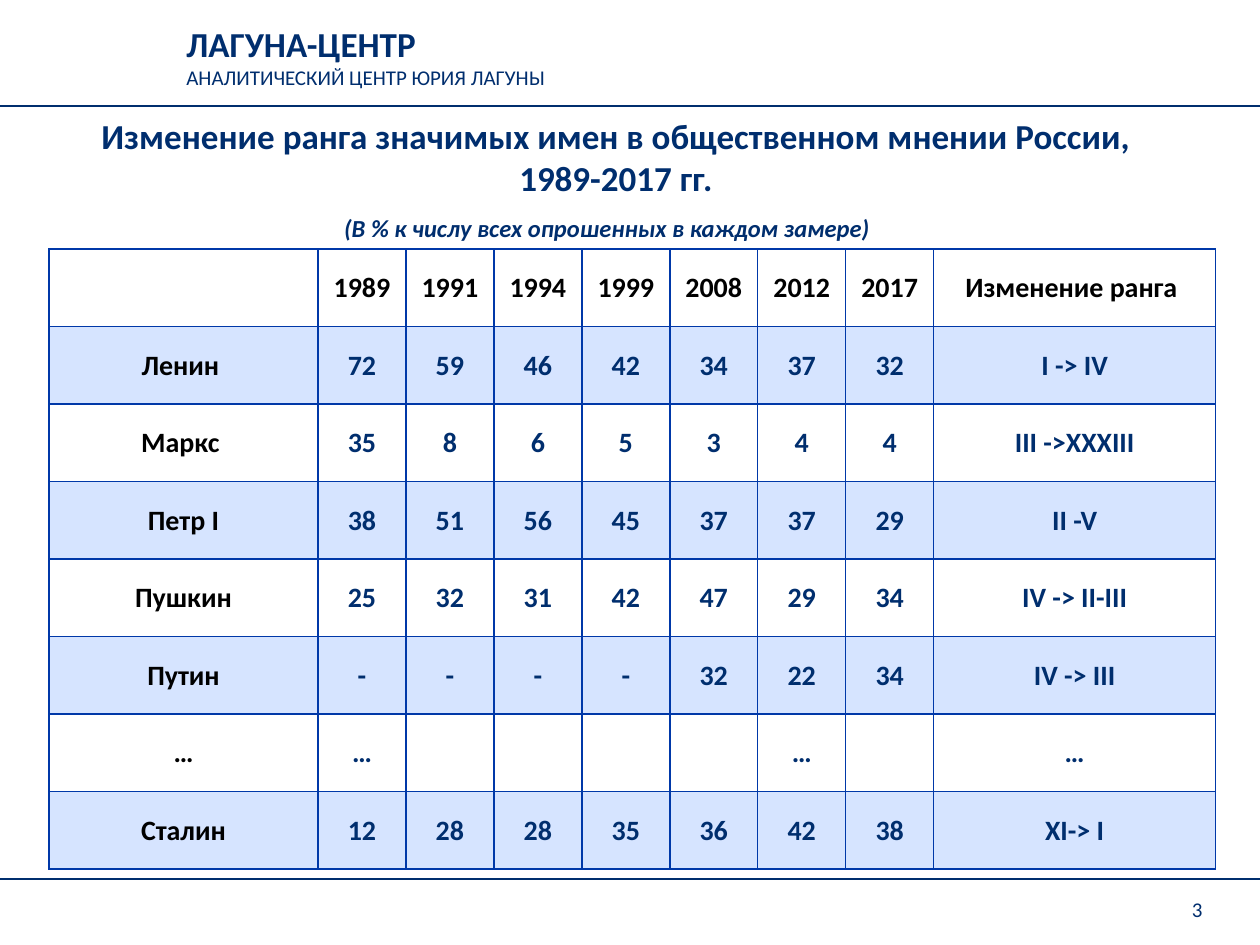
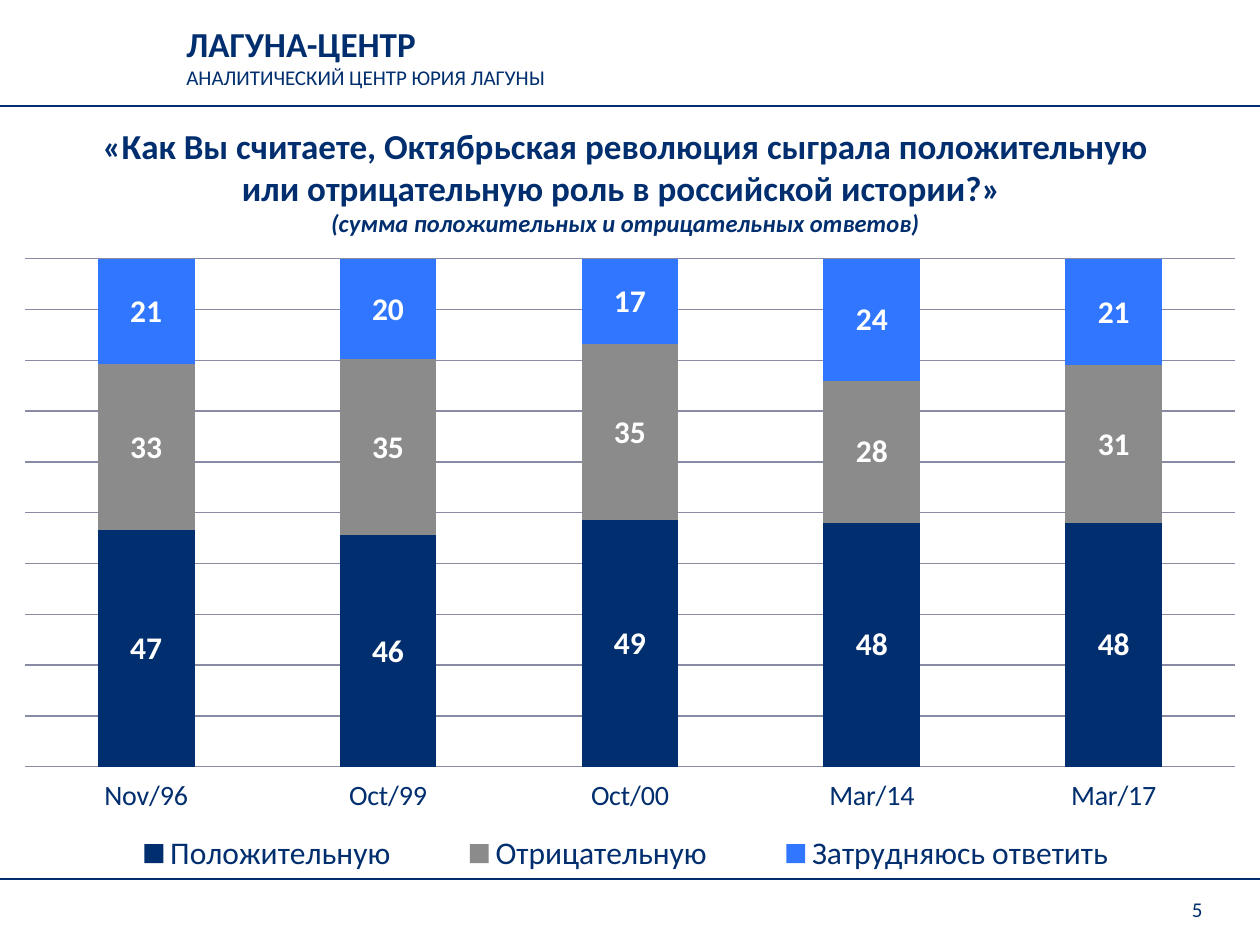
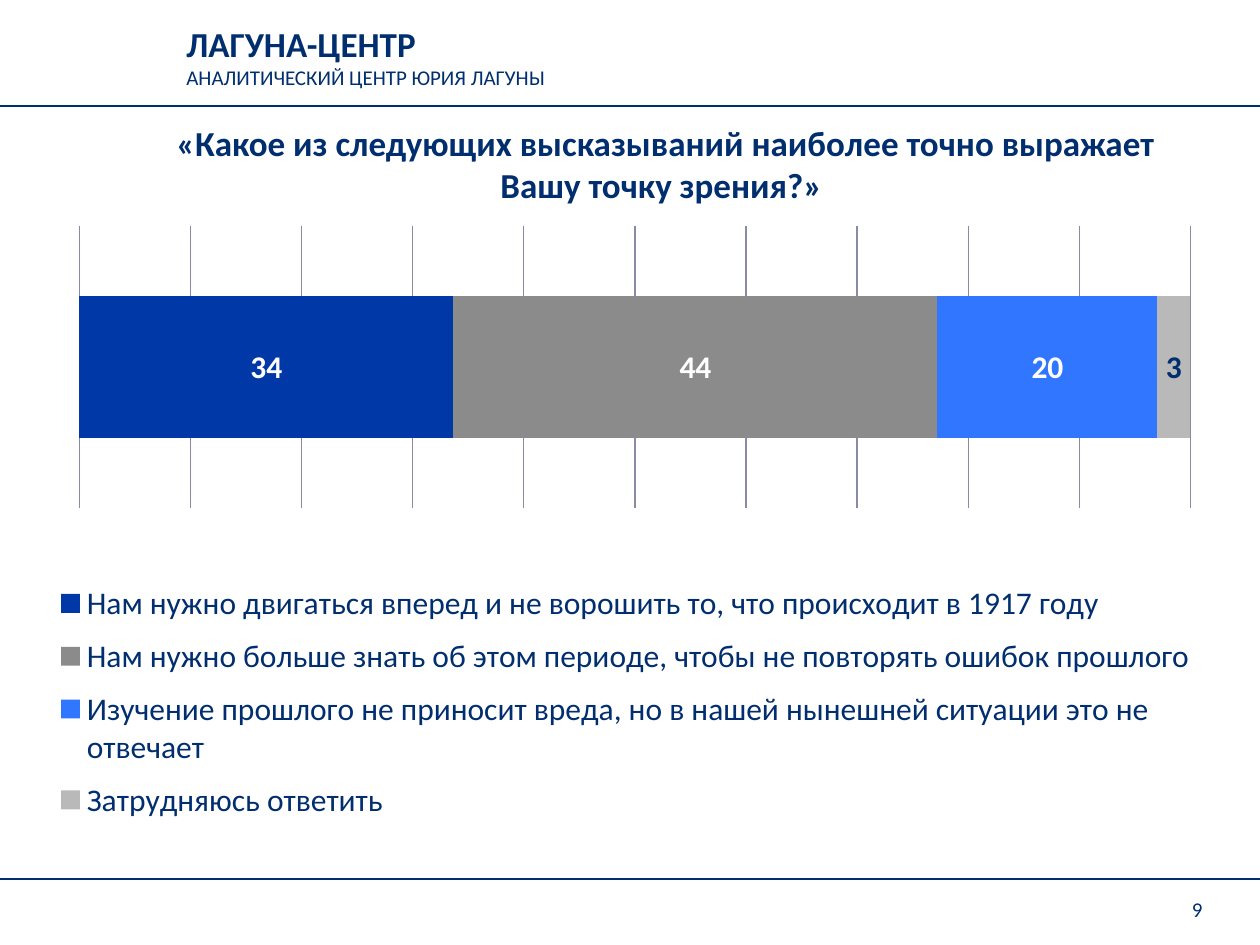
from typing import NamedTuple, Optional

import pptx
import pptx.chart.data
import pptx.dml.color
import pptx.enum.chart
import pptx.enum.shapes
import pptx.enum.text
import pptx.oxml
import pptx.oxml.ns
import pptx.util
from lxml import etree

# Shared scale, font and colours
PX_PER_INCH = 126
FONT = "Calibri"
NAVY, BLUE, SKY = "002E6E", "0038A8", "3176FF"
GRAY, SILVER, GRID = "8B8B8B", "B9B9B9", "898BA5"
PALE, WHITE, BLACK = "D6E4FF", "FFFFFF", "000000"

ALIGN = pptx.enum.text.PP_ALIGN
ANCHOR = pptx.enum.text.MSO_ANCHOR
CHART = pptx.enum.chart.XL_CHART_TYPE


class Box(NamedTuple):
    left: int
    top: int
    width: int
    height: int


class Share(NamedTuple):
    """A place inside a chart, in fractions of its size."""
    x: float
    y: float
    w: float
    h: float


class Run(NamedTuple):
    text: str
    size: int = 20
    bold: bool = True
    italic: bool = False
    color: str = NAVY


class Series(NamedTuple):
    name: str
    values: list[int]
    color: str
    label_color: str = WHITE


class ChartPanel(NamedTuple):
    box: Box
    kind: CHART
    gap: int
    categories: list[str]
    series: list[Series]
    plot: Share
    legend: Share
    category_size: Optional[int] = None  # no size hides the category axis


def px(n: float) -> pptx.util.Emu:
    return pptx.util.Emu(round(n * 914400 / PX_PER_INCH))


def rgb(value: str) -> pptx.dml.color.RGBColor:
    return pptx.dml.color.RGBColor.from_string(value)


def style_font(font, size: int, color: str, bold: bool = False, italic: bool = False) -> None:
    font.name, font.size = FONT, pptx.util.Pt(size)
    font.bold, font.italic = bold, italic
    font.color.rgb = rgb(color)


def add_run(p, run: Run) -> None:
    """Adds one run; a newline in its text becomes a line break."""
    for i, line in enumerate(run.text.split("\n")):
        if i:
            p.add_line_break()
        if line:
            r = p.add_run()
            r.text = line
            style_font(r.font, run.size, run.color, run.bold, run.italic)


def add_text(s, box: Box, paragraphs: list[list[Run]], align=ALIGN.CENTER, grow: bool = True) -> None:
    tf = s.shapes.add_textbox(*map(px, box)).text_frame
    tf.word_wrap = True
    if grow:
        tf.auto_size = pptx.enum.text.MSO_AUTO_SIZE.SHAPE_TO_FIT_TEXT
    else:
        tf.vertical_anchor = ANCHOR.MIDDLE
    for i, runs in enumerate(paragraphs):
        p = tf.add_paragraph() if i else tf.paragraphs[0]
        p.alignment = align
        for run in runs:
            add_run(p, run)


def add_rule(s, y: int) -> None:
    line = s.shapes.add_connector(
        pptx.enum.shapes.MSO_CONNECTOR.STRAIGHT, px(0), px(y), px(1260), px(y))
    line.line.color.rgb = rgb(NAVY)
    line.line.width = pptx.util.Pt(1.5)
    etree.SubElement(line._element.spPr, pptx.oxml.ns.qn("a:effectLst"))


def new_slide(prs, number: int):
    """Adds a slide with the header, both rules and the page number."""
    s = prs.slides.add_slide(prs.slide_layouts[6])
    add_text(s, Box(174, 16, 665, 81), [
        [Run("ЛАГУНА-ЦЕНТР")],
        [Run("АНАЛИТИЧЕСКИЙ ЦЕНТР ЮРИЯ ЛАГУНЫ", 12, False)],
    ], ALIGN.LEFT)
    for y in (106, 879):
        add_rule(s, y)
    add_text(s, Box(1126, 890, 89, 39), [[Run(str(number), 12, False)]], ALIGN.RIGHT, grow=False)
    return s


# Table
def add_borders(cell) -> None:
    tc_pr = cell._tc.get_or_add_tcPr()
    for i, side in enumerate(("lnL", "lnR", "lnT", "lnB")):
        tc_pr.insert(i, pptx.oxml.parse_xml(
            f'<a:{side} {pptx.oxml.ns.nsdecls("a")} w="12700"><a:solidFill>'
            f'<a:srgbClr val="{BLUE}"/></a:solidFill></a:{side}>'))


def fill_cell(cell, text: str, row: int, col: int) -> None:
    cell.margin_left = cell.margin_right = cell.margin_top = px(1)
    cell.margin_bottom = 0
    cell.vertical_anchor = ANCHOR.MIDDLE
    if row % 2:
        cell.fill.solid()
        cell.fill.fore_color.rgb = rgb(PALE)
    else:
        cell.fill.background()
    add_borders(cell)
    p = cell.text_frame.paragraphs[0]
    p.alignment = ALIGN.CENTER
    add_run(p, Run(text, 16, color=BLACK if row == 0 or col == 0 else NAVY))


def add_rank_table(s, box: Box, widths: list[int], rows: list[list[str]]) -> None:
    table = s.shapes.add_table(len(rows), len(widths), *map(px, box)).table
    table.first_row = table.horz_banding = False
    for column, width in zip(table.columns, widths):
        column.width = px(width)
    for i, values in enumerate(rows):
        table.rows[i].height = px(box.height / len(rows))
        for j, text in enumerate(values):
            fill_cell(table.cell(i, j), text, i, j)


# Charts
def set_layout(parent, index: int, share: Share, target: str = "") -> None:
    """Places a plot area or a legend by hand; index is the layout's place in it."""
    for old in parent.findall(pptx.oxml.ns.qn("c:layout")):
        parent.remove(old)
    sizes = "".join(f'<c:{tag} val="{v}"/>' for tag, v in share._asdict().items())
    parent.insert(index, pptx.oxml.parse_xml(
        f'<c:layout {pptx.oxml.ns.nsdecls("c")}><c:manualLayout>{target}'
        '<c:xMode val="edge"/><c:yMode val="edge"/>'
        f'{sizes}</c:manualLayout></c:layout>'))


def add_stacked_chart(s, panel: ChartPanel) -> None:
    data = pptx.chart.data.CategoryChartData()
    data.categories = panel.categories
    for item in panel.series:
        data.add_series(item.name, item.values)
    chart = s.shapes.add_chart(panel.kind, *map(px, panel.box), data).chart
    chart.has_title = False
    style_font(chart.font, 18, NAVY)
    chart.has_legend = True
    chart.legend.position = pptx.enum.chart.XL_LEGEND_POSITION.BOTTOM
    chart.legend.include_in_layout = False

    values = chart.value_axis
    values.visible = False
    values.has_major_gridlines = True
    values.major_gridlines.format.line.color.rgb = rgb(GRID)
    values.major_gridlines.format.line.width = pptx.util.Pt(0.75)
    categories = chart.category_axis
    categories.visible = panel.category_size is not None
    if panel.category_size is not None:
        style_font(categories.tick_labels.font, panel.category_size, NAVY)
        categories.major_tick_mark = pptx.enum.chart.XL_TICK_MARK.CROSS
        categories.format.line.fill.background()

    plot = chart.plots[0]
    plot.gap_width, plot.overlap = panel.gap, 100
    plot.vary_by_categories = False
    for series, item in zip(plot.series, panel.series):
        series.format.fill.solid()
        series.format.fill.fore_color.rgb = rgb(item.color)
        labels = series.data_labels
        labels.show_value = True
        labels.position = pptx.enum.chart.XL_LABEL_POSITION.CENTER
        style_font(labels.font, 18, item.label_color, bold=True)

    parts = chart._chartSpace.chart
    set_layout(parts.plotArea, 0, panel.plot, '<c:layoutTarget val="inner"/>')
    set_layout(parts.find(pptx.oxml.ns.qn("c:legend")), 1, panel.legend)


# Content
RANK_ROWS = [
    ["", "1989", "1991", "1994", "1999", "2008", "2012", "2017", "Изменение ранга "],
    ["Ленин ", "72", "59", "46", "42", "34", "37", "32", "I -> IV"],
    ["Маркс ", "35", "8", "6", "5", "3", "4", "4", "III ->XXXIII"],
    ["Петр I", "38", "51", "56", "45", "37", "37", "29", "II -V"],
    ["Пушкин", "25", "32", "31", "42", "47", "29", "34", "IV -> II-III"],
    ["Путин", "-", "-", "-", "-", "32", "22", "34", "IV -> III"],
    ["…", "…", "", "", "", "", "…", "", "…"],
    ["Сталин", "12", "28", "28", "35", "36", "42", "38", "XI-> I"],
]
REVOLUTION_ROLE = ChartPanel(
    Box(0, 246, 1260, 643), CHART.COLUMN_STACKED_100, 150,
    ["Nov/96", "Oct/99", "Oct/00", "Mar/14", "Mar/17"],
    [
        Series("Положительную", [47, 46, 49, 48, 48], NAVY),
        Series("Отрицательную", [33, 35, 35, 28, 31], GRAY),
        Series("Затрудняюсь ответить ", [21, 20, 17, 24, 21], SKY),
    ],
    plot=Share(0.02, 0.02, 0.96, 0.79),
    legend=Share(0.06, 0.91, 0.88, 0.07),
    category_size=16,
)
VIEW_OF_PAST = ChartPanel(
    Box(44, 225, 1182, 615), CHART.BAR_STACKED_100, 100, ["1"],
    [
        Series("Нам нужно двигаться вперед и не ворошить то, что происходит в 1917 году ", [34], BLUE),
        Series("Нам нужно больше знать об этом периоде, чтобы не повторять ошибок прошлого ", [44], GRAY),
        Series("Изучение прошлого не приносит вреда, но в нашей нынешней ситуации это не отвечает ", [20], SKY),
        Series("Затрудняюсь ответить ", [3], SILVER, NAVY),
    ],
    plot=Share(0.03, 0.0, 0.94, 0.46),
    legend=Share(0.01, 0.56, 0.97, 0.43),
)


def main() -> None:
    prs = pptx.Presentation()
    prs.slide_width, prs.slide_height = px(1260), px(945)

    # Rank of names
    s = new_slide(prs, 3)
    add_text(s, Box(49, 108, 1142, 97), [
        [Run("Изменение ранга значимых имен в общественном мнении России, ")],
        [Run("1989-2017 гг. ")],
    ])
    add_text(s, Box(295, 207, 630, 43), [
        [Run("(В % к числу всех опрошенных в каждом замере) ", 14, italic=True)]])
    add_rank_table(s, Box(49, 249, 1167, 620), [269] + [88] * 7 + [282], RANK_ROWS)

    # Role of the revolution
    s = new_slide(prs, 5)
    add_text(s, Box(69, 118, 1113, 127), [[
        Run("«Как Вы считаете, Октябрьская революция сыграла положительную "
            "или отрицательную роль в российской истории?» \n"),
        Run("(сумма положительных и отрицательных ответов)", 14, italic=True),
    ]])
    add_stacked_chart(s, REVOLUTION_ROLE)

    # View of the past
    s = new_slide(prs, 9)
    add_text(s, Box(144, 115, 1043, 97), [[
        Run("«Какое из следующих высказываний наиболее точно выражает Вашу точку зрения?» ")]])
    add_stacked_chart(s, VIEW_OF_PAST)

    prs.save("out.pptx")


if __name__ == "__main__":
    main()
